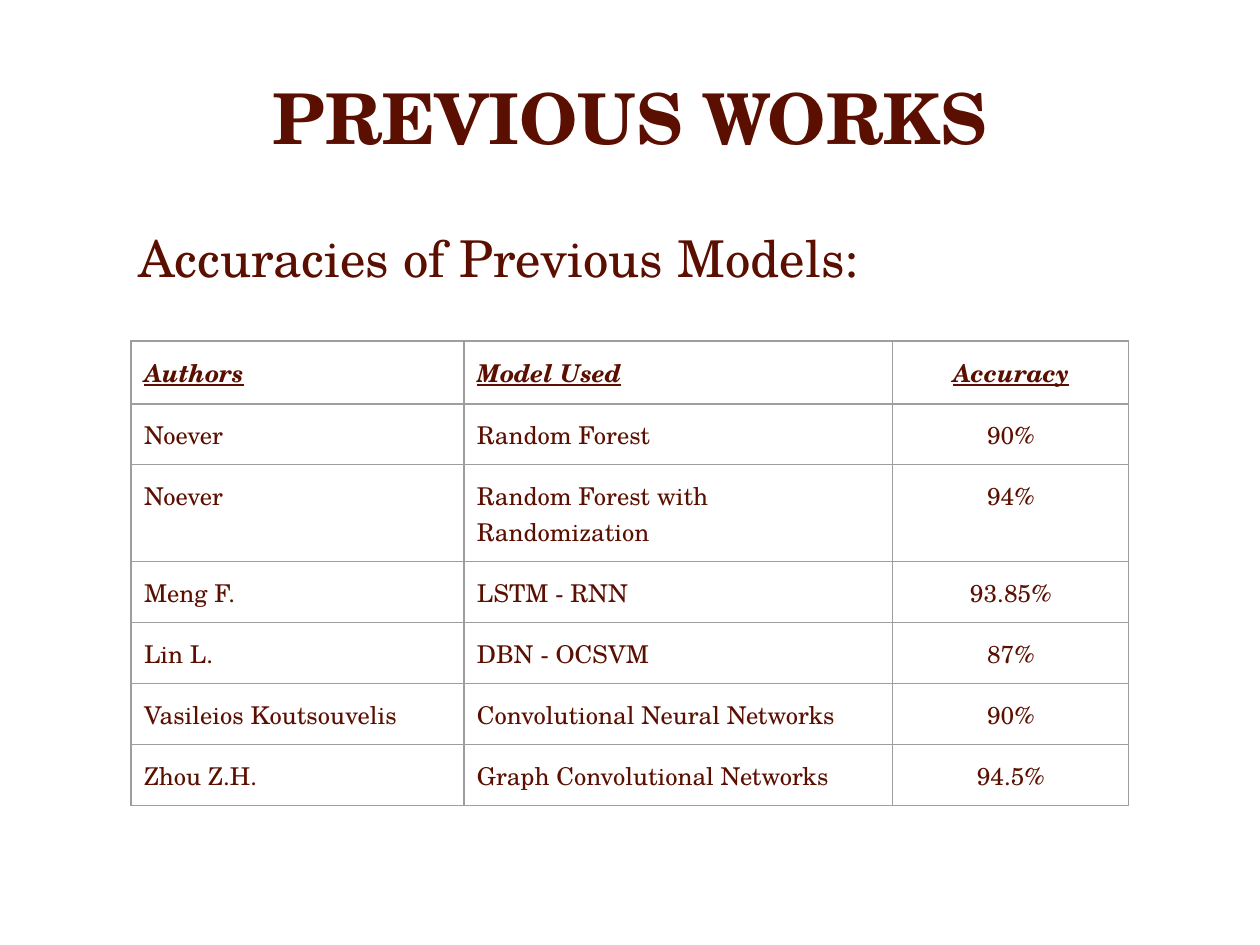
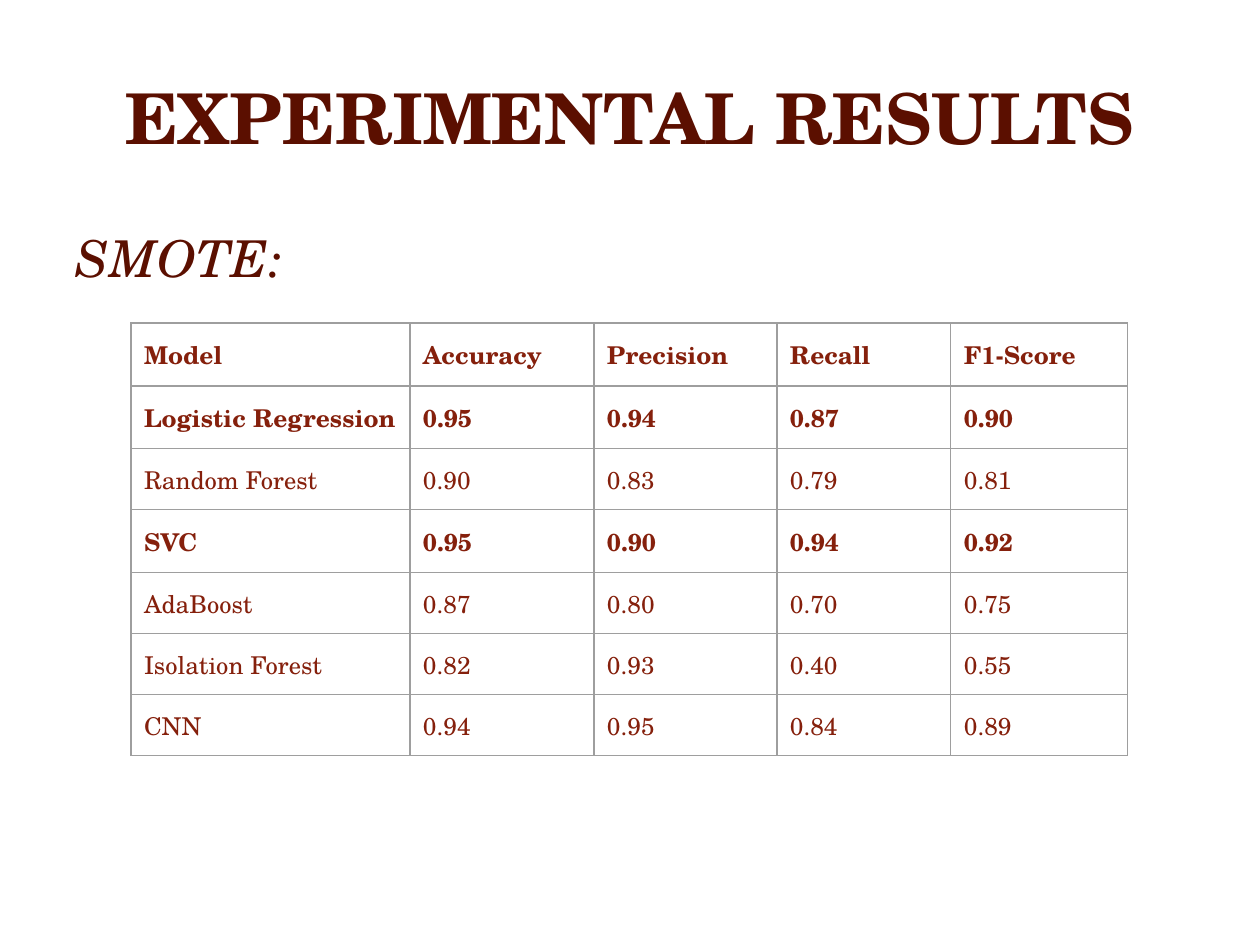
from lxml import etree
from pptx import Presentation
from pptx import util as u
from pptx.dml.color import RGBColor
from pptx.enum import text
from pptx.oxml.ns import qn

PX = 914400 // 126
COLORS = {"dark": "5B0F00", "rust": "85200C", "grid": "9E9E9E"}
FACE = "TeX Gyre Schola"
ALIGN = text.PP_ALIGN
LEFT, INSET = 131, 13
PLAIN, BOLD, WRAPPED = 61, 63, 97

WORKS = [
    ("Authors", "Model Used", "Accuracy"),
    ("Noever", "Random Forest", "90%"),
    ("Noever", "Random Forest with Randomization", "94%"),
    ("Meng F.", "LSTM - RNN", "93.85%"),
    ("Lin L.", "DBN - OCSVM", "87%"),
    ("Vasileios Koutsouvelis", "Convolutional Neural Networks", "90%"),
    ("Zhou Z.H.", "Graph Convolutional Networks", "94.5%"),
]
SCORES = [
    ("Model", "Accuracy", "Precision", "Recall", "F1-Score"),
    ("Logistic Regression", "0.95", "0.94", "0.87", "0.90"),
    ("Random Forest", "0.90", "0.83", "0.79", "0.81"),
    ("SVC", "0.95", "0.90", "0.94", "0.92"),
    ("AdaBoost", "0.87", "0.80", "0.70", "0.75"),
    ("Isolation Forest", "0.82", "0.93", "0.40", "0.55"),
    ("CNN", "0.94", "0.95", "0.84", "0.89"),
]


def px(*sizes):
    """Turn px lengths into EMU."""
    return [u.Emu(size * PX) for size in sizes]


def write(para, words, size, color, align, bold=False, slant=False, under=False):
    """Fill one paragraph and set its font."""
    para.text = words
    para.alignment = align
    font = para.font
    font.name, font.size = FACE, u.Pt(size)
    font.bold, font.italic, font.underline = bold, slant, under
    font.color.rgb = RGBColor.from_string(COLORS[color])


def add_text(slide, box, words, size, align, anchor, **style):
    """Add a wrapped text box and return its paragraph."""
    frame = slide.shapes.add_textbox(*px(*box)).text_frame
    frame.word_wrap = True
    frame.vertical_anchor = anchor
    para = frame.paragraphs[0]
    write(para, words, size, "dark", align, **style)
    return para


def add_page(deck, title, lead, indent=0, slant=False):
    """Add a slide with its title and lead line."""
    slide = deck.slides.add_slide(deck.slide_layouts[6])
    add_text(slide, (63, 38, 1134, 157), title, 40, ALIGN.CENTER,
             text.MSO_ANCHOR.MIDDLE, bold=True)
    para = add_text(slide, (63, 221, 1134, 585), lead, 29, ALIGN.JUSTIFY,
                    text.MSO_ANCHOR.TOP, slant=slant)
    para._p.get_or_add_pPr().set("marL", str(indent * PX))
    return slide


def frame_cell(cell):
    """Give a cell its margins, thin grey borders and no fill."""
    props = cell._tc.get_or_add_tcPr()
    for side in "LRTB":
        props.set(f"mar{side}", str(INSET * PX))
        line = etree.SubElement(props, qn(f"a:ln{side}"), w=str(u.Pt(0.75)))
        fill = etree.SubElement(line, qn("a:solidFill"))
        etree.SubElement(fill, qn("a:srgbClr"), val=COLORS["grid"])
    cell.fill.background()


def add_grid(slide, top, widths, rows, color, strong, wrapped=(), centred=(), fancy=False):
    """Add a table with bold, wrapped and plain rows and an optional fancy header."""
    heights = [BOLD if r in strong else WRAPPED if r in wrapped else PLAIN
               for r in range(len(rows))]
    box = px(LEFT, top, sum(widths), sum(heights))
    table = slide.shapes.add_table(len(rows), len(widths), *box).table
    table.first_row = table.horz_banding = False
    for col, width in zip(table.columns, px(*widths)):
        col.width = width
    for r, (row, height) in enumerate(zip(rows, px(*heights))):
        table.rows[r].height = height
        head = fancy and r == 0
        for c, words in enumerate(row):
            cell = table.cell(r, c)
            frame_cell(cell)
            align = ALIGN.CENTER if c in centred else ALIGN.LEFT
            write(cell.text_frame.paragraphs[0], words, 14, color, align,
                  bold=r in strong, slant=head, under=head)


def main():
    """Build both slides and save the deck."""
    deck = Presentation()
    deck.slide_width, deck.slide_height = px(1260, 945)
    works = add_page(deck, "PREVIOUS WORKS", "Accuracies of Previous Models:", indent=63)
    add_grid(works, 341, (333, 429, 236), WORKS, "dark", {0},
             wrapped={2}, centred={2}, fancy=True)
    scores = add_page(deck, "EXPERIMENTAL RESULTS", "SMOTE:", slant=True)
    add_grid(scores, 323, (279, 184, 183, 174, 177), SCORES, "rust", {0, 1, 3})
    deck.save("out.pptx")


if __name__ == "__main__":
    main()
